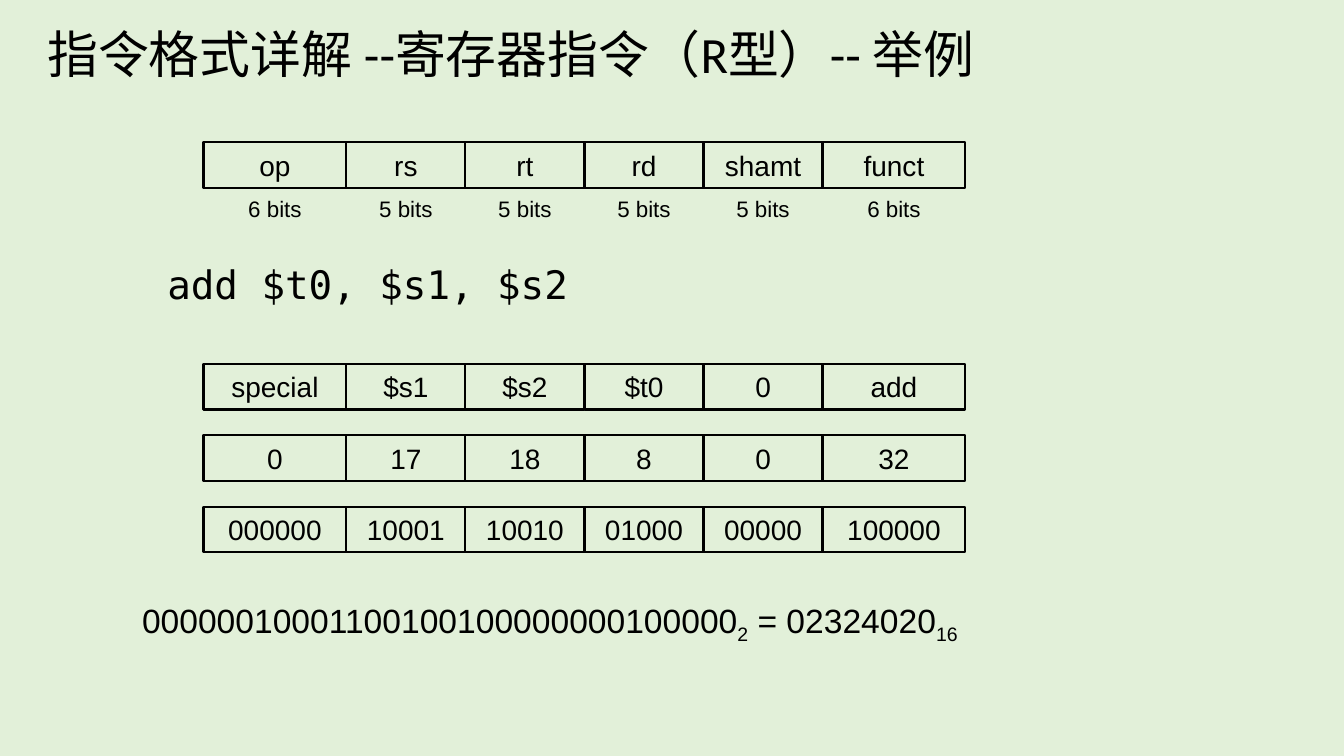
import pptx
import pptx.dml.color
import pptx.enum.shapes
import pptx.enum.text
import pptx.util

Cm = pptx.util.Cm
Pt = pptx.util.Pt
ALIGN = pptx.enum.text.PP_ALIGN
ANCHOR = pptx.enum.text.MSO_ANCHOR

COLORS = {"background": "E2F0D9", "ink": "000000"}
COLUMN_WIDTHS = [3.6, 3, 3, 3, 3, 3.6]
ROW_LEFT = 5.13
CELL_HEIGHT = 1.15
LABEL_WIDTH = 1.85

FIELDS = ["op", "rs", "rt", "rd", "shamt", "funct"]
BITS = [6, 5, 5, 5, 5, 6]
ENCODINGS = [
    ["special", "$s1", "$s2", "$t0", "0", "add"],
    ["0", "17", "18", "8", "0", "32"],
    ["000000", "10001", "10010", "01000", "00000", "100000"],
]
RESULT = [
    ("00000010001100100100000000100000", False),
    ("2", True),
    (" = 02324020", False),
    ("16", True),
]


def rgb(name):
    return pptx.dml.color.RGBColor.from_string(COLORS[name])


class InstructionSlide:
    def __init__(self, deck):
        self.page = deck.slides.add_slide(deck.slide_layouts[6])
        self.page.background.fill.solid()
        self.page.background.fill.fore_color.rgb = rgb("background")

    def fill_text(self, box, spans, size, font="Arial", wrap=True, anchor=ANCHOR.TOP, **layout):
        frame = box.text_frame
        for name, value in {"word_wrap": wrap, "vertical_anchor": anchor}.items():
            setattr(frame, name, value)
        para = frame.paragraphs[0]
        for name, value in layout.items():
            setattr(para, name, value)
        for text, subscript in spans:
            span = para.add_run()
            span.text = text
            for name, value in {"name": font, "size": Pt(size)}.items():
                setattr(span.font, name, value)
            span.font.color.rgb = rgb("ink")
            if subscript:
                span._r.get_or_add_rPr().set("baseline", "-25000")
        return para

    def text(self, left, top, width, height, spans, size, shapes=None, **style):
        shapes = shapes or self.page.shapes
        box = shapes.add_textbox(Cm(left), Cm(top), Cm(width), Cm(height))
        return self.fill_text(box, spans, size, **style)

    def cell(self, shapes, left, top, width, text):
        box = shapes.add_shape(
            pptx.enum.shapes.MSO_SHAPE.RECTANGLE,
            Cm(left), Cm(top), Cm(width), Cm(CELL_HEIGHT),
        )
        box.shadow.inherit = False
        box.fill.background()
        box.line.color.rgb = rgb("ink")
        box.line.width = Pt(1.5)
        self.fill_text(box, [(text, False)], 20, wrap=False,
                       anchor=ANCHOR.MIDDLE, alignment=ALIGN.CENTER)

    def row(self, top, texts, bits=()):
        shapes = self.page.shapes.add_group_shape().shapes if bits else self.page.shapes
        lefts = [ROW_LEFT + sum(COLUMN_WIDTHS[:i]) for i in range(len(COLUMN_WIDTHS))]
        for left, width, text in zip(lefts, COLUMN_WIDTHS, texts):
            self.cell(shapes, left, top, width, text)
        for left, width, count in zip(lefts, COLUMN_WIDTHS, bits):
            self.text(left + (width - LABEL_WIDTH) / 2, top + 1.22, LABEL_WIDTH, 0.94,
                      [(f"{count} bits", False)], 16, shapes=shapes,
                      wrap=False, alignment=ALIGN.CENTER)


def main():
    deck = pptx.Presentation()
    for name, value in {"slide_width": Cm(33.87), "slide_height": Cm(19.05)}.items():
        setattr(deck, name, value)
    slide = InstructionSlide(deck)
    slide.text(0.94, 0.74, 29.6, 1.85,
               [("指令格式详解 --寄存器指令（R型）-- 举例", False)], 36.3,
               font="Calibri", line_spacing=0.8)
    slide.row(3.58, FIELDS, BITS)
    code = slide.text(3.33, 6.58, 23, 1.8, [("add $t0, $s1, $s2", False)], 28,
                      font="DejaVu Sans Mono", line_spacing=0.9)
    code._p.get_or_add_pPr().set("marL", str(Cm(0.64)))
    for index, texts in enumerate(ENCODINGS):
        slide.row(9.17 + 1.8 * index, texts)
    slide.text(3.33, 14.99, 22.6, 1.4, RESULT, 24)
    deck.save("out.pptx")


if __name__ == "__main__":
    main()
